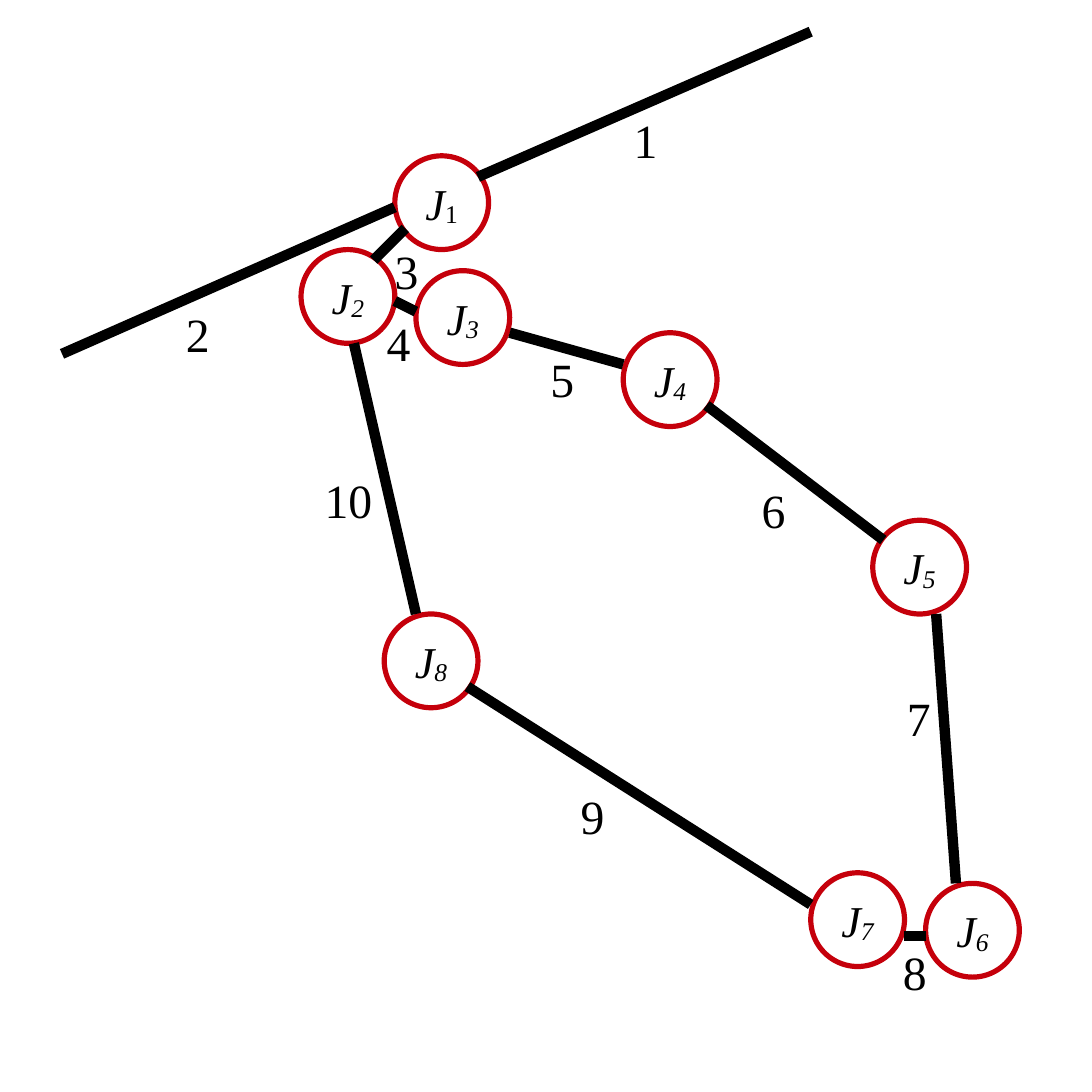
"""Draw a linkage graph: numbered links between joints J1 to J8."""
from dataclasses import dataclass

from lxml.etree import SubElement
from pptx import Presentation
from pptx.dml.color import RGBColor
from pptx.enum.shapes import MSO_CONNECTOR, MSO_SHAPE
from pptx.enum.text import MSO_ANCHOR, MSO_AUTO_SIZE, PP_ALIGN
from pptx.oxml.ns import qn
from pptx.util import Inches, Pt


@dataclass(frozen=True)
class Theme:
    """Colours, font and sizes."""
    ink: RGBColor = RGBColor(0, 0, 0)
    paper: RGBColor = RGBColor(255, 255, 255)
    ring: RGBColor = RGBColor(0xC5, 0x00, 0x0B)
    font: str = "Times New Roman"
    joint: Pt = Pt(24)
    label: Pt = Pt(26)
    edge: Pt = Pt(2.83)
    bar: Pt = Pt(5.67)


THEME = Theme()
SIDE = 8.27
SIZE = 0.71
JOINTS = [
    ("1", 2.99, 1.18), ("2", 2.28, 1.89), ("3", 3.15, 2.05), ("4", 4.72, 2.52),
    ("5", 6.61, 3.94), ("8", 2.91, 4.65), ("7", 6.14, 6.61), ("6", 7.01, 6.69),
]
LINKS = [
    ((0.47, 2.68), (2.99, 1.57)), ((3.07, 1.73), (2.83, 1.97)),
    ((2.99, 2.28), (3.15, 2.36)), ((3.62, 1.34), (6.14, 0.24)),
    ((3.15, 4.65), (2.68, 2.6)), ((3.54, 5.2), (6.14, 6.85)),
    ((3.86, 2.52), (4.72, 2.76)), ((5.35, 3.07), (6.69, 4.09)),
    ((7.24, 6.69), (7.09, 4.65)), ((7.01, 7.09), (6.85, 7.09)),
]
LABELS = [
    ("1", 4.7, 0.79, 0.5, 0.72), ("2", 1.31, 2.26, 0.5, 0.5),
    ("3", 2.89, 1.78, 0.5, 0.5), ("4", 2.83, 2.33, 0.5, 0.5),
    ("5", 4.07, 2.6, 0.5, 0.5), ("6", 5.67, 3.59, 0.5, 0.5),
    ("7", 6.77, 5.17, 0.5, 0.5), ("8", 6.74, 7.09, 0.5, 0.5),
    ("9", 4.3, 5.91, 0.5, 0.5), ("10", 2.36, 3.52, 0.64, 0.5),
]
FRAME = {
    "margin_left": Inches(0.12), "margin_right": Inches(0.12),
    "margin_top": Inches(0.07), "margin_bottom": Inches(0.07),
    "vertical_anchor": MSO_ANCHOR.MIDDLE, "word_wrap": False,
}


def apply(target, values):
    """Set each named attribute."""
    for name, value in values.items():
        setattr(target, name, value)


def write(para, text, size, italic=False):
    """Add a styled run."""
    run = para.add_run()
    run.text = text
    apply(run.font, {"name": THEME.font, "size": size, "italic": italic})
    run.font.color.rgb = THEME.ink
    return run


def add_joint(slide, index, left, top):
    """Add a ringed joint with its subscript."""
    ring = slide.shapes.add_shape(
        MSO_SHAPE.OVAL, *map(Inches, (left, top, SIZE, SIZE)))
    ring.shadow.inherit = False
    ring.fill.solid()
    ring.fill.fore_color.rgb = THEME.paper
    ring.line.color.rgb = THEME.ring
    ring.line.width = THEME.edge
    apply(ring.text_frame, FRAME)
    para = ring.text_frame.paragraphs[0]
    para.alignment = PP_ALIGN.CENTER
    write(para, "J", THEME.joint, True)
    sub = write(para, index, THEME.joint, index != "1")
    sub.font._element.set("baseline", "-8000")


def add_link(slide, start, end):
    """Add a thick link."""
    link = slide.shapes.add_connector(
        MSO_CONNECTOR.STRAIGHT, *map(Inches, start + end))
    link.line.color.rgb = THEME.ink
    link.line.width = THEME.bar
    SubElement(link._element.spPr, qn("a:effectLst"))


def add_label(slide, text, *area):
    """Add a link number."""
    frame = slide.shapes.add_textbox(*map(Inches, area)).text_frame
    apply(frame, {"word_wrap": True,
                  "auto_size": MSO_AUTO_SIZE.SHAPE_TO_FIT_TEXT})
    write(frame.paragraphs[0], text, THEME.label)


def main():
    """Build and save the slide."""
    deck = Presentation()
    deck.slide_width = deck.slide_height = Inches(SIDE)
    slide = deck.slides.add_slide(deck.slide_layouts[6])
    for draw, items in ((add_joint, JOINTS), (add_link, LINKS),
                        (add_label, LABELS)):
        for item in items:
            draw(slide, *item)
    deck.save("out.pptx")


if __name__ == "__main__":
    main()
